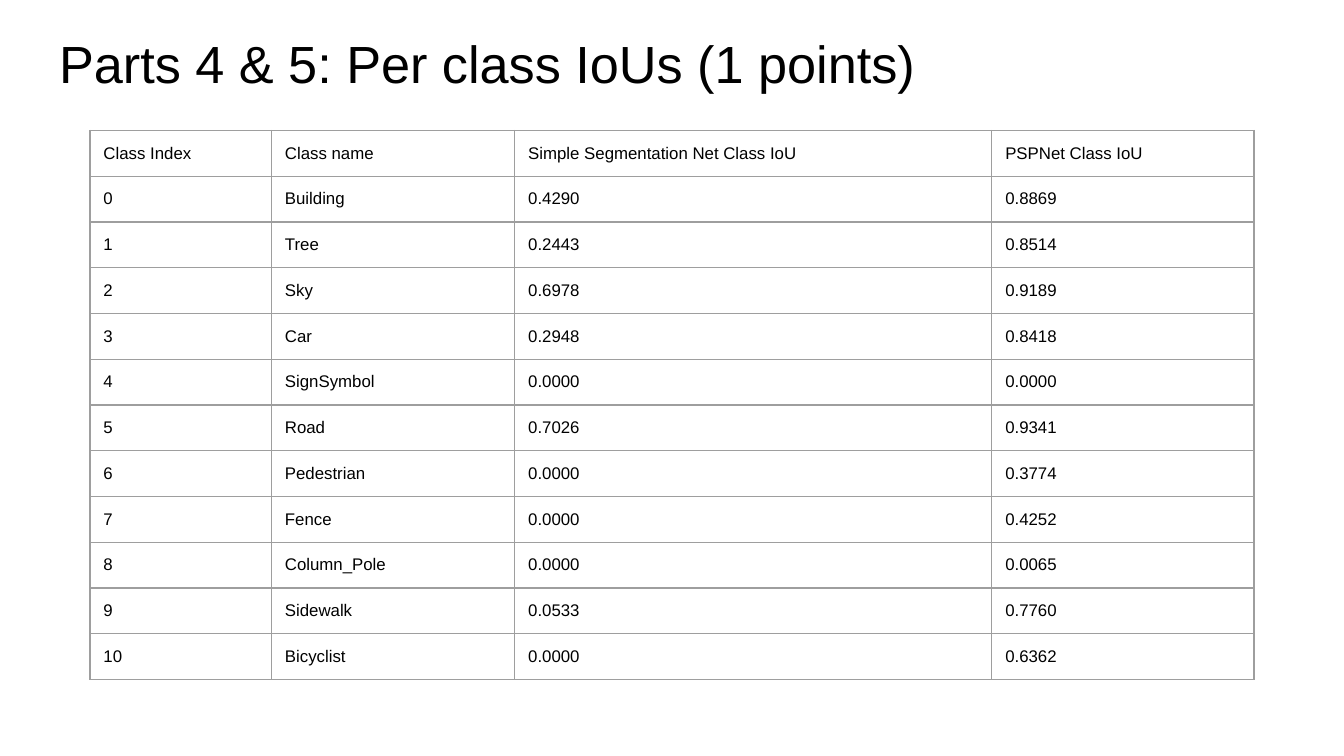
from dataclasses import dataclass

import pptx
import pptx.dml.color
import pptx.enum.text
import pptx.oxml
import pptx.oxml.ns
import pptx.util
from pptx.util import Inches


@dataclass(frozen=True)
class Theme:
    font: str = "Arial"
    text: str = "000000"
    border: str = "9E9E9E"
    title_size: float = 28
    cell_size: float = 9
    border_width: float = 0.75
    inset: float = 0.1


THEME = Theme()

HEADER = ("Class Index", "Class name", "Simple Segmentation Net Class IoU", "PSPNet Class IoU")
CLASS_IOUS = (
    ("Building", "0.4290", "0.8869"),
    ("Tree", "0.2443", "0.8514"),
    ("Sky", "0.6978", "0.9189"),
    ("Car", "0.2948", "0.8418"),
    ("SignSymbol", "0.0000", "0.0000"),
    ("Road", "0.7026", "0.9341"),
    ("Pedestrian", "0.0000", "0.3774"),
    ("Fence", "0.0000", "0.4252"),
    ("Column_Pole", "0.0000", "0.0065"),
    ("Sidewalk", "0.0533", "0.7760"),
    ("Bicyclist", "0.0000", "0.6362"),
)
COLUMN_WIDTHS = (1.35, 1.81, 3.55, 1.95)
ROW_HEIGHT = 0.34


def set_text(box, text, size):
    """Write one left-aligned paragraph into a text frame or table cell."""
    box.margin_left = box.margin_right = Inches(THEME.inset)
    box.margin_top = box.margin_bottom = Inches(THEME.inset)
    box.vertical_anchor = pptx.enum.text.MSO_ANCHOR.TOP
    tf = getattr(box, "text_frame", box)
    tf.text = text
    p = tf.paragraphs[0]
    p.alignment = pptx.enum.text.PP_ALIGN.LEFT
    p.font.name = THEME.font
    p.font.size = pptx.util.Pt(size)
    p.font.color.rgb = pptx.dml.color.RGBColor.from_string(THEME.text)


def set_borders(cell):
    tc_pr = cell._tc.get_or_add_tcPr()
    width = pptx.util.Pt(THEME.border_width)
    for i, side in enumerate(("lnL", "lnR", "lnT", "lnB")):
        line = pptx.oxml.parse_xml(
            f'<a:{side} {pptx.oxml.ns.nsdecls("a")} w="{width}"><a:solidFill>'
            f'<a:srgbClr val="{THEME.border}"/></a:solidFill></a:{side}>'
        )
        tc_pr.insert(i, line)


def add_title(s, text):
    title = s.shapes.title
    title.left, title.top = Inches(0.34), Inches(0.13)
    title.width, title.height = Inches(9.32), Inches(0.63)
    tf = title.text_frame
    tf.word_wrap = True
    tf.auto_size = pptx.enum.text.MSO_AUTO_SIZE.NONE
    set_text(tf, text, THEME.title_size)


def add_table(s, rows, left, top):
    frame = s.shapes.add_table(
        len(rows), len(COLUMN_WIDTHS), Inches(left), Inches(top),
        Inches(sum(COLUMN_WIDTHS)), Inches(ROW_HEIGHT * len(rows)),
    )
    table = frame.table
    table.first_row = table.horz_banding = False
    for column, width in zip(table.columns, COLUMN_WIDTHS):
        column.width = Inches(width)
    for row, values in zip(table.rows, rows):
        row.height = Inches(ROW_HEIGHT)
        for cell, value in zip(row.cells, values):
            set_text(cell, value, THEME.cell_size)
            cell.fill.background()
            set_borders(cell)


def main():
    prs = pptx.Presentation()
    prs.slide_width = Inches(10)
    prs.slide_height = prs.slide_width * 9 // 16
    s = prs.slides.add_slide(prs.slide_layouts[5])
    add_title(s, "Parts 4 & 5: Per class IoUs (1 points)")
    rows = [HEADER] + [(str(i), *values) for i, values in enumerate(CLASS_IOUS)]
    add_table(s, rows, 0.67, 0.97)
    prs.save("out.pptx")


if __name__ == "__main__":
    main()
